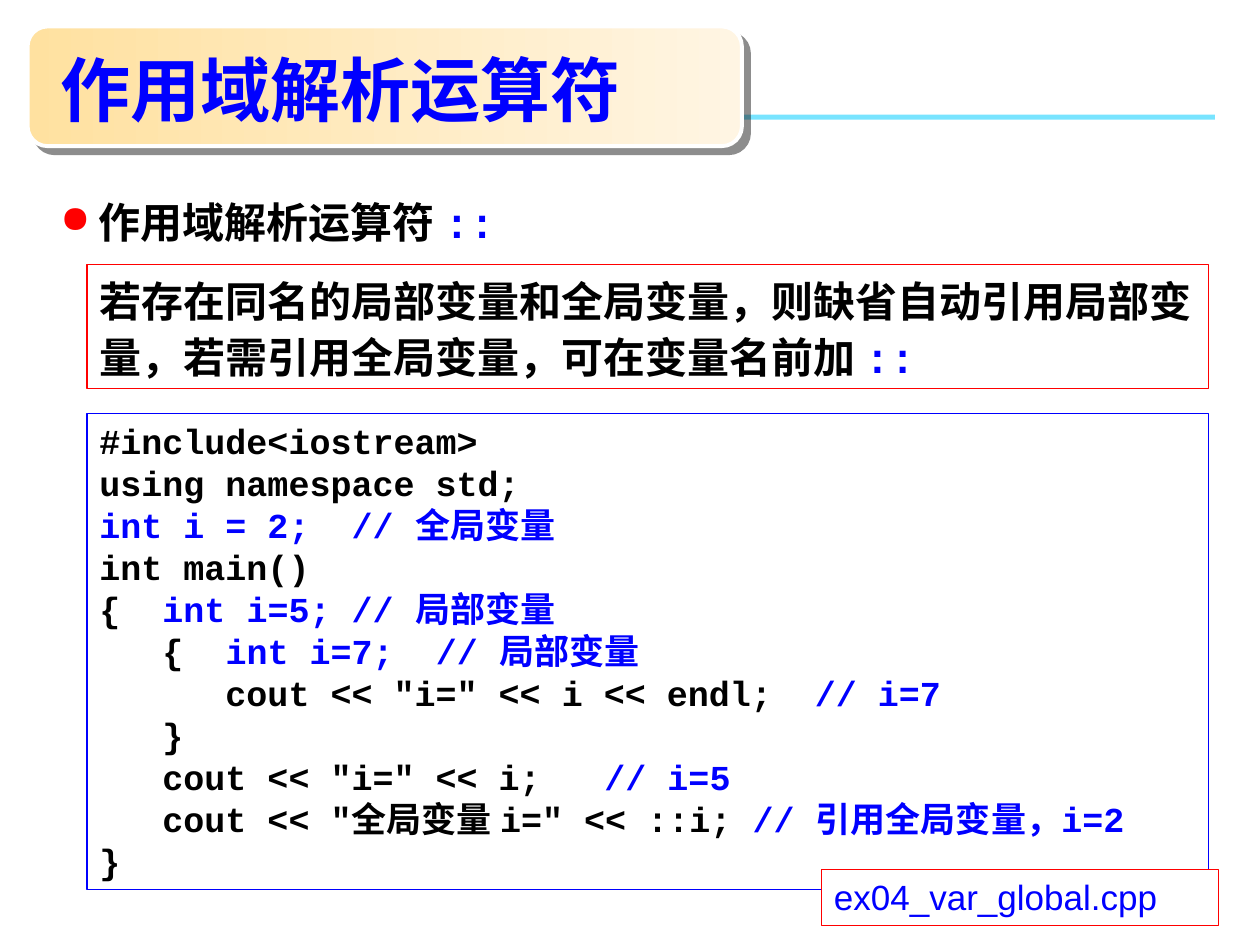
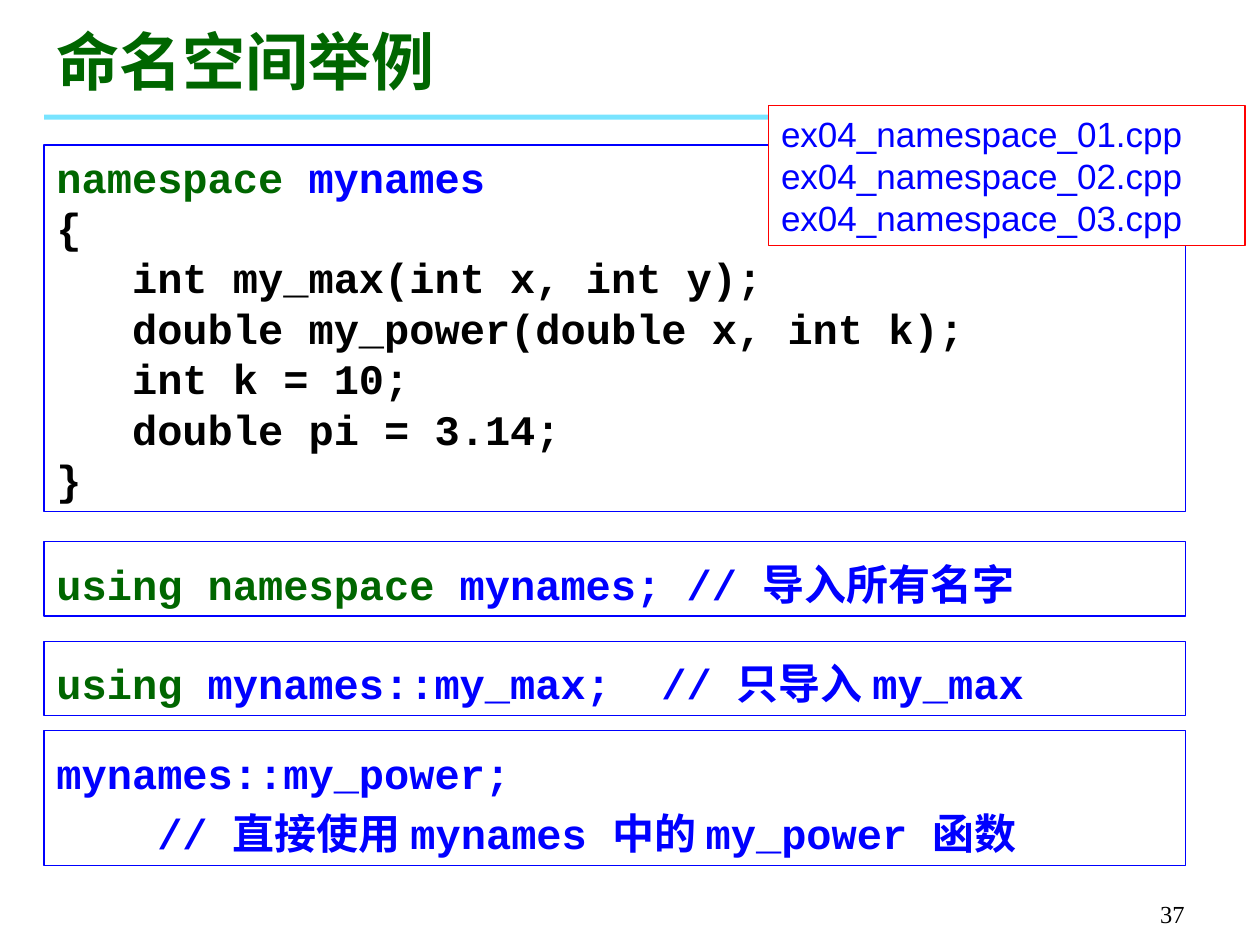
from collections import namedtuple

from lxml.etree import SubElement
from pptx import Presentation
from pptx.dml.color import RGBColor
from pptx.enum.shapes import MSO_SHAPE as Preset
from pptx.enum.text import MSO_ANCHOR as Anchor, MSO_AUTO_SIZE as AutoSize, PP_ALIGN as Align
from pptx.oxml.ns import qn
from pptx.util import Pt

BLACK = RGBColor(0x00, 0x00, 0x00)
WHITE = RGBColor(0xFF, 0xFF, 0xFF)
RED = RGBColor(0xFF, 0x00, 0x00)
BLUE = RGBColor(0x00, 0x00, 0xFF)
GREEN = RGBColor(0x00, 0x66, 0x00)
CYAN = RGBColor(0x00, 0xCC, 0xFF)
PEACH = RGBColor(0xFF, 0xE1, 0xA0)
CREAM = RGBColor(0xFF, 0xF5, 0xE3)
SHADOW = RGBColor(0x1C, 0x1C, 0x1C)

CJK = "Noto Sans CJK SC"
MONO = "Courier New"
SANS = "Arial"
SERIF = "Times New Roman"

Style = namedtuple("Style", "font size bold spacing", defaults=(True, 1.0))
BULLET = Style(SANS, 24, spacing=1.1)
RULE_TEXT = Style(SERIF, 24, spacing=1.1)
SMALL_CODE = Style(MONO, 20)
LARGE_CODE = Style(MONO, 24)
USAGE_CODE = Style(MONO, 24, spacing=1.2)
FILE_NAME = Style(SANS, 20, bold=False)
NUMBER = Style(SERIF, 14, bold=False)

GLOBAL_CODE = [
    [("#include<iostream>", BLACK)],
    [("using namespace std;", BLACK)],
    [("int i = 2;  // 全局变量", BLUE)],
    [("int main()", BLACK)],
    [("{  ", BLACK), ("int i=5; // 局部变量", BLUE)],
    [("   {  ", BLACK), ("int i=7;  // 局部变量", BLUE)],
    [('      cout << "i=" << i << endl;  ', BLACK), ("// i=7", BLUE)],
    [("   }", BLACK)],
    [('   cout << "i=" << i;   ', BLACK), ("// i=5", BLUE)],
    [('   cout << "全局变量 i=" << ::i; ', BLACK), ("// 引用全局变量，i=2", BLUE)],
    [("}", BLACK)],
]
NAMESPACE_CODE = [
    [("namespace ", GREEN), ("mynames", BLUE)],
    [("{", BLACK)],
    [("   int my_max(int x, int y);", BLACK)],
    [("   double my_power(double x, int k);", BLACK)],
    [("   int k = 10;", BLACK)],
    [("   double pi = 3.14;", BLACK)],
    [("}", BLACK)],
]
# (top, height, lines) of each way to use the namespace
USAGES = [
    (309.6, 42.5, [[("using namespace ", GREEN), ("mynames; // 导入所有名字", BLUE)]]),
    (366.5, 42.5, [[("using ", GREEN), ("mynames::my_max;  // 只导入 my_max", BLUE)]]),
    (417.6, 77, [[("mynames::my_power;", BLUE)],
                 [("    // 直接使用 mynames 中的 my_power 函数", BLUE)]]),
]


def points(*lengths):
    return [Pt(length) for length in lengths]


def add_run(paragraph, text, colour, style, font=None):
    run = paragraph.add_run()
    run.text = text
    run.font.name = font or style.font
    run.font.size = Pt(style.size)
    run.font.bold = style.bold
    run.font.color.rgb = colour
    run.font._element.find(qn("a:latin")).addnext(
        run.font._element.makeelement(qn("a:ea"), {"typeface": CJK}))


def write_lines(frame, lines, style):
    """Fill a frame; each line is a list of (text, colour[, font]) runs."""
    frame.word_wrap = True
    frame.auto_size = AutoSize.NONE
    for index, runs in enumerate(lines):
        paragraph = frame.add_paragraph() if index else frame.paragraphs[0]
        paragraph.alignment = Align.LEFT
        paragraph.line_spacing = style.spacing
        for text, colour, *font in runs:
            add_run(paragraph, text, colour, style, *font)


def add_frame(slide, box, border, lines, style, fill=None):
    frame = slide.shapes.add_shape(Preset.RECTANGLE, *points(*box))
    frame.shadow.inherit = False
    if fill is None:
        frame.fill.background()
    else:
        frame.fill.solid()
        frame.fill.fore_color.rgb = fill
    frame.line.color.rgb = border
    frame.line.width = Pt(0.75)
    frame.text_frame.vertical_anchor = Anchor.TOP
    write_lines(frame.text_frame, lines, style)


def add_file_label(slide, box, names):
    add_frame(slide, box, RED, [[(name, BLUE)] for name in names], FILE_NAME, WHITE)


def add_header_rule(slide):
    rule = slide.shapes.add_shape(Preset.RECTANGLE, *points(25.2, 65.5, 669, 2.9))
    rule.shadow.inherit = False
    rule.line.fill.background()
    rule.fill.solid()
    rule.fill.fore_color.rgb = CYAN
    colour = rule.element.spPr.find(".//" + qn("a:srgbClr"))
    SubElement(colour, qn("a:alpha"), val="53000")


def add_title_plate(slide):
    plate = slide.shapes.add_shape(Preset.ROUNDED_RECTANGLE, *points(15.8, 15.1, 408.2, 68.4))
    plate.fill.gradient()
    plate.fill.gradient_angle = 0
    for stop, colour in zip(plate.fill.gradient_stops, (PEACH, CREAM)):
        stop.color.rgb = colour
    plate.line.color.rgb = WHITE
    plate.line.width = Pt(2.25)
    plate.shadow.inherit = False
    effects = plate.element.spPr.find(qn("a:effectLst"))
    shadow = SubElement(effects, qn("a:outerShdw"), blurRad="0", dist=str(Pt(5.7)),
                        dir="2700000", algn="ctr", rotWithShape="0")
    colour = SubElement(shadow, qn("a:srgbClr"), val=str(SHADOW))
    SubElement(colour, qn("a:alpha"), val="50000")


def set_title(slide, box, text, colour, style):
    """Place the title in front of whatever is already on the slide."""
    title = slide.shapes.title
    title.left, title.top, title.width, title.height = points(*box)
    title.text_frame.vertical_anchor = Anchor.BOTTOM
    write_lines(title.text_frame, [[(text, colour)]], style)
    title.element.getparent().append(title.element)


def add_bullet(slide, box, runs):
    topic = slide.shapes.add_textbox(*points(*box)).text_frame
    properties = topic.paragraphs[0]._p.get_or_add_pPr()
    hanging = Pt(22)
    properties.set("marL", str(hanging))
    properties.set("indent", str(-hanging))
    bullet_colour = SubElement(properties, qn("a:buClr"))
    SubElement(bullet_colour, qn("a:srgbClr"), val=str(RED))
    SubElement(properties, qn("a:buSzPct"), val="90000")
    SubElement(properties, qn("a:buChar"), char="●")
    write_lines(topic, [runs], BULLET)


def add_page_number(slide, number):
    footer = slide.shapes.add_textbox(*points(534.2, 498.2, 149.8, 36)).text_frame
    footer.vertical_anchor = Anchor.BOTTOM
    write_lines(footer, [[(number, BLACK)]], NUMBER)
    footer.paragraphs[0].alignment = Align.RIGHT


def build_scope_slide(slide):
    add_header_rule(slide)
    add_title_plate(slide)
    set_title(slide, (27.4, 23, 386, 55.4), "作用域解析运算符", BLUE, Style(CJK, 40))
    add_bullet(slide, (27.4, 105.8, 669, 36.7),
               [("作用域解析运算符 ", BLACK), ("::", BLUE, MONO)])
    add_frame(slide, (49.7, 151.2, 640.8, 71), RED,
              [[("若存在同名的局部变量和全局变量，则缺省自动引用局部变量，"
                 "若需引用全局变量，可在变量名前加 ", BLACK), ("::", BLUE, MONO)]], RULE_TEXT)
    add_frame(slide, (49.7, 236.2, 640.8, 272), BLUE, GLOBAL_CODE, SMALL_CODE)
    add_file_label(slide, (469.4, 496.8, 226.8, 32), ["ex04_var_global.cpp"])


def build_namespace_slide(slide):
    left, width = 25.2, 652.3
    add_header_rule(slide)
    add_page_number(slide, "37")
    set_title(slide, (left, 9.4, 386, 50.4), "命名空间举例", GREEN, Style(SERIF, 36))
    add_frame(slide, (left, 82.8, width, 209.5), BLUE, NAMESPACE_CODE, LARGE_CODE)
    for top, height, lines in USAGES:
        add_frame(slide, (left, top, width, height), BLUE, lines, USAGE_CODE)
    add_file_label(slide, (439.2, 60.5, 272.2, 80),
                   [f"ex04_namespace_{number:02}.cpp" for number in range(1, 4)])


def main():
    deck = Presentation()
    deck.slide_width, deck.slide_height = points(720, 540)
    title_only = deck.slide_layouts[5]
    for build in (build_scope_slide, build_namespace_slide):
        build(deck.slides.add_slide(title_only))
    deck.save("out.pptx")


if __name__ == "__main__":
    main()
